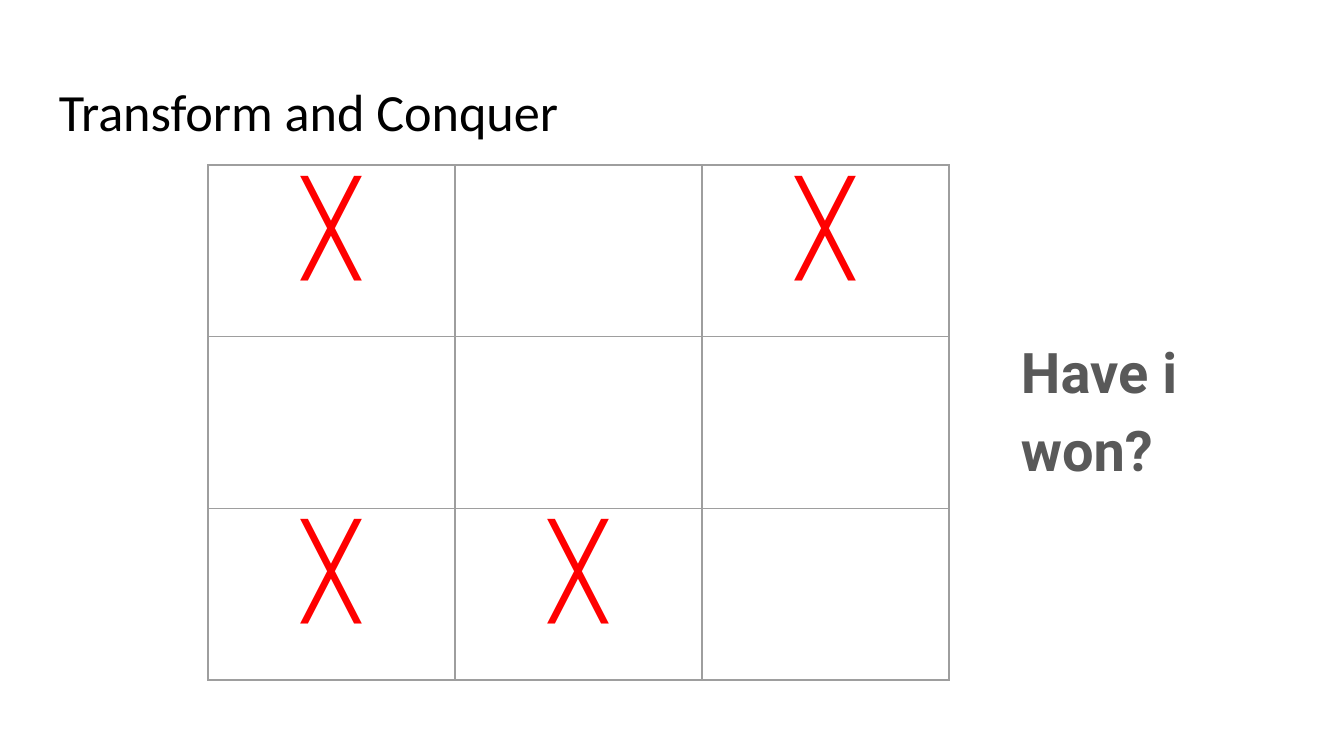
from dataclasses import dataclass

from lxml.etree import SubElement
from pptx import Presentation
from pptx.dml.color import RGBColor
from pptx.enum.text import PP_ALIGN
from pptx.oxml import parse_xml
from pptx.oxml.ns import nsdecls, qn
from pptx.util import Pt

PX = 914400 / 134.4


@dataclass(frozen=True)
class Theme:
    """Colours, fonts and type sizes of the slide."""
    title_color: str = "000000"
    question_color: str = "595959"
    mark_color: str = "FF0000"
    grid_color: str = "9E9E9E"
    title_font: str = "Calibri"
    question_font: str = "Roboto"
    mark_font: str = "Arial"
    title_size: int = 28
    question_size: int = 30
    mark_size: int = 48
    grid_width: float = 0.75


THEME = Theme()
INSET = 13
BOARD = ["╳ ╳", "   ", "╳╳ "]


def px(length):
    """Turn px into EMU."""
    return round(length * PX)


def style(paragraph, font_name, size, color, bold=False):
    """Set the font of a whole paragraph."""
    font = paragraph.font
    font.name, font.size, font.bold = font_name, Pt(size), bold
    font.color.rgb = RGBColor.from_string(color)


def set_margins(holder):
    """Give a text frame or cell the common inset."""
    holder.margin_left = holder.margin_right = px(INSET)
    holder.margin_top = holder.margin_bottom = px(INSET)


def add_text(slide, box, text):
    """Add a wrapping text box and return its paragraph."""
    frame = slide.shapes.add_textbox(*map(px, box)).text_frame
    frame.word_wrap = True
    set_margins(frame)
    paragraph = frame.paragraphs[0]
    paragraph.text = text
    return paragraph


def add_title(slide, box):
    """Place the slide title."""
    title = add_text(slide, box, "Transform and Conquer")
    style(title, THEME.title_font, THEME.title_size, THEME.title_color)


def add_question(slide, box):
    """Place the question beside the board."""
    question = add_text(slide, box, "Have i won?")
    question.line_spacing = 1.15
    question.space_after = Pt(16)
    style(question, THEME.question_font, THEME.question_size, THEME.question_color, True)


def outline(cell):
    """Clear a cell's fill and draw its four borders."""
    cell.fill.background()
    properties = cell._tc.get_or_add_tcPr()
    for index, side in enumerate("LRTB"):
        properties.insert(index, parse_xml(
            f'<a:ln{side} {nsdecls("a")} w="{Pt(THEME.grid_width)}"><a:solidFill>'
            f'<a:srgbClr val="{THEME.grid_color}"/></a:solidFill></a:ln{side}>'))


def add_board(slide, box):
    """Place the board as a table with its marks."""
    board = slide.shapes.add_table(len(BOARD), len(BOARD[0]), *map(px, box)).table
    board.first_row = board.horz_banding = False
    for row, marks in enumerate(BOARD):
        for column, mark in enumerate(marks):
            cell = board.cell(row, column)
            set_margins(cell)
            outline(cell)
            if mark.strip():
                paragraph = cell.text_frame.paragraphs[0]
                paragraph.text = mark
                paragraph.alignment = PP_ALIGN.CENTER
                style(paragraph, THEME.mark_font, THEME.mark_size, THEME.mark_color, True)
                defaults = paragraph._p.pPr.find(qn("a:defRPr"))
                SubElement(defaults, qn("a:ea"), typeface=THEME.mark_font)


def main():
    """Build and save the slide."""
    deck = Presentation()
    deck.slide_width, deck.slide_height = px(1344), px(756)
    slide = deck.slides.add_slide(deck.slide_layouts[6])
    add_title(slide, (46, 66, 1253, 85))
    add_question(slide, (1008, 315, 280, 138))
    add_board(slide, (208, 165, 741, 515))
    deck.save("out.pptx")


if __name__ == "__main__":
    main()
